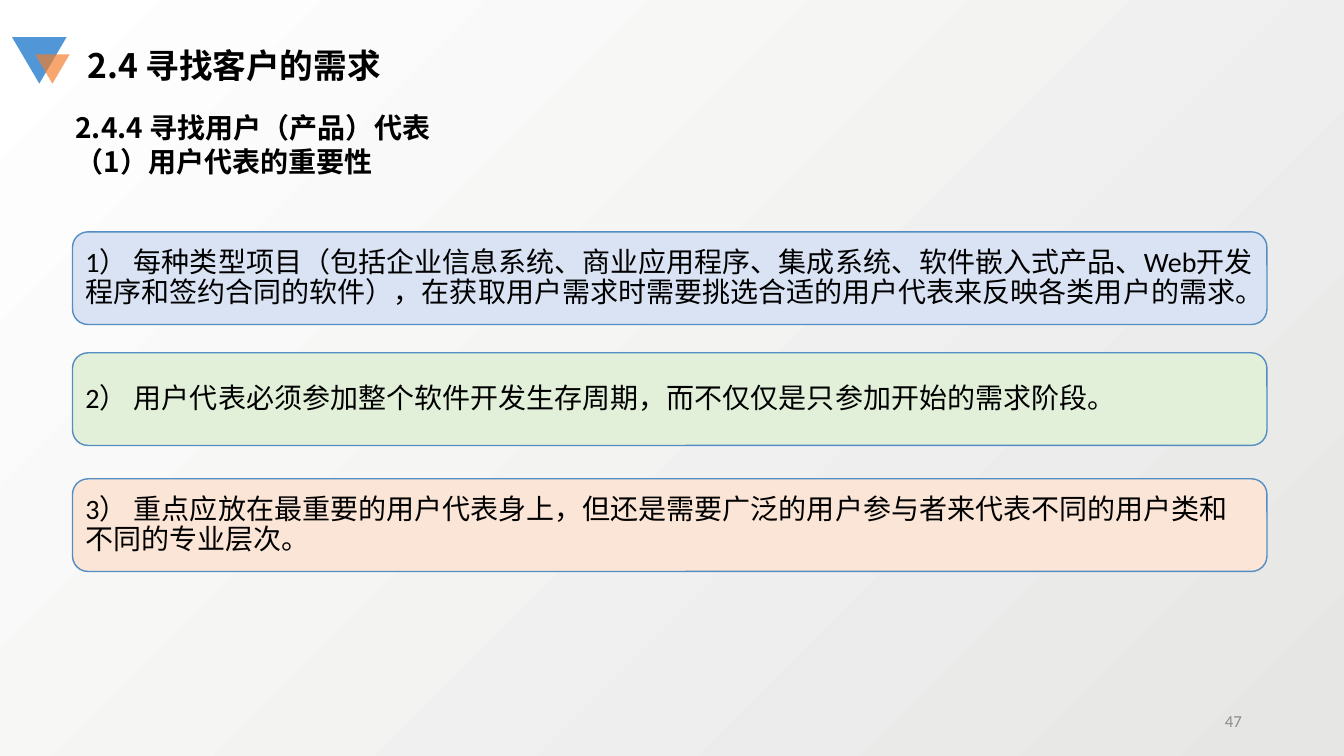
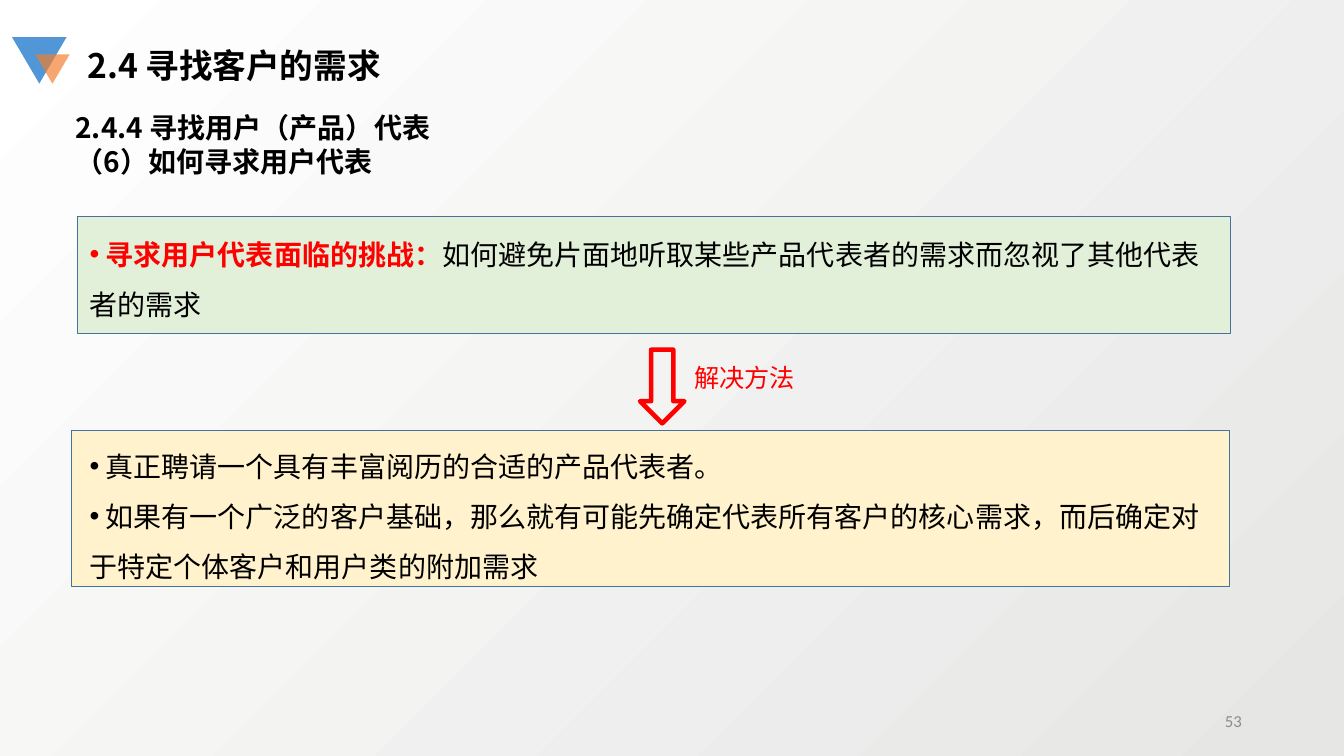
from lxml import etree
from pptx import Presentation
from pptx.dml.color import RGBColor
from pptx.enum import shapes, text
from pptx.oxml import ns
from pptx.util import Pt

BLACK = RGBColor(0, 0, 0)
RED = RGBColor(0xFF, 0, 0)
GREY = RGBColor(0x8C, 0x8C, 0x8C)
PALE = RGBColor(0xE6, 0xE6, 0xE5)
WHITE = RGBColor(0xFF, 0xFF, 0xFF)
BLUE = RGBColor(0x51, 0x97, 0xD7)
ORANGE = RGBColor(0xF3, 0x7D, 0x2A)
EDGE = RGBColor(0x53, 0x8D, 0xC1)
FRAME = RGBColor(0x43, 0x73, 0x9E)
SKY = RGBColor(0xDA, 0xE3, 0xF3)
GREEN = RGBColor(0xE2, 0xF0, 0xD9)
PEACH = RGBColor(0xFB, 0xE5, 0xD6)
CREAM = RGBColor(0xFF, 0xF2, 0xCC)

HAN = "Noto Sans CJK SC"
KIND = shapes.MSO_SHAPE
TITLE = "2.4 寻找客户的需求"
TOPIC = "2.4.4 寻找用户（产品）代表"
CARDS = [
    (165.6, SKY, "1） 每种类型项目（包括企业信息系统、商业应用程序、集成系统、软件嵌入式产品、Web开发程序和签约合同的软件），在获取用户需求时需要挑选合适的用户代表来反映各类用户的需求。"),
    (252, GREEN, "2） 用户代表必须参加整个软件开发生存周期，而不仅仅是只参加开始的需求阶段。"),
    (342, PEACH, "3） 重点应放在最重要的用户代表身上，但还是需要广泛的用户参与者来代表不同的用户类和不同的专业层次。"),
]
PANELS = [
    ((55.4, 154.8, 823.7, 83.5), GREEN, (56.9, 154.1, 812.2, 74.2), [
        [(" 寻求用户代表面临的挑战：", RED, True),
         ("如何避免片面地听取某些产品代表者的需求而忽视了其他代表者的需求", BLACK, False)]]),
    ((51.1, 307.4, 827.3, 111.6), CREAM, (56.9, 305.3, 817.2, 110.9), [
        [(" 真正聘请一个具有丰富阅历的合适的产品代表者。", BLACK, False)],
        [(" 如果有一个广泛的客户基础，那么就有可能先确定代表所有客户的核心需求，而后确定对于特定个体客户和用户类的附加需求", BLACK, False)]]),
]


def shape(slide, kind, box, fill=None, line=None, width=1):
    item = slide.shapes.add_shape(kind, *map(Pt, box))
    item.shadow.inherit = False
    if fill is None:
        item.fill.background()
    else:
        item.fill.solid()
        item.fill.fore_color.rgb = fill
    if line is None:
        item.line.fill.background()
    else:
        item.line.color.rgb = line
        item.line.width = Pt(width)
    return item


def bullet(para):
    props = para._p.get_or_add_pPr()
    props.set("marL", "0")
    props.set("indent", "0")
    etree.SubElement(props, ns.qn("a:buFont")).set("typeface", "Arial")
    etree.SubElement(props, ns.qn("a:buChar")).set("char", "•")


def write(frame, paras, size, face, space=None, dots=False, align=text.PP_ALIGN.LEFT):
    for num, runs in enumerate(paras):
        para = frame.add_paragraph() if num else frame.paragraphs[0]
        if dots:
            bullet(para)
        para.alignment = align
        if space:
            para.line_spacing = space
        for words, color, bold in runs:
            run = para.add_run()
            run.text = words
            font = run.font
            font.size, font.name, font.bold = Pt(size), face, bold
            font.color.rgb = color
            east = etree.SubElement(run._r.get_or_add_rPr(), ns.qn("a:ea"))
            east.set("typeface", HAN)


def label(slide, box, paras, size, face, wrap=True, grow=True, **style):
    frame = slide.shapes.add_textbox(*map(Pt, box)).text_frame
    frame.word_wrap = wrap
    if grow:
        frame.auto_size = text.MSO_AUTO_SIZE.SHAPE_TO_FIT_TEXT
    else:
        frame.vertical_anchor = text.MSO_ANCHOR.MIDDLE
    write(frame, paras, size, face, **style)


def start(prs, page, part):
    slide = prs.slides.add_slide(prs.slide_layouts[6])
    big = shape(slide, KIND.ISOSCELES_TRIANGLE, (8.6, 26.6, 38.9, 33.1), BLUE)
    small = shape(slide, KIND.ISOSCELES_TRIANGLE, (25.2, 38.9, 24.5, 20.9), ORANGE)
    big.rotation = small.rotation = 180
    tint = small.fill._xPr.find(".//" + ns.qn("a:srgbClr"))
    etree.SubElement(tint, ns.qn("a:alpha")).set("val", "68000")
    label(slide, (678.2, 500.4, 216, 28.8), [[(page, GREY, False)]], 12, "Calibri",
          grow=False, align=text.PP_ALIGN.RIGHT)
    label(slide, (55.4, 28.8, 416, 36), [[(TITLE, BLACK, True)]], 24, HAN)
    label(slide, (46.8, 75.6, 661.7, 55.4),
          [[(words, BLACK, True)] for words in (TOPIC, part)], 20, HAN)
    return slide


def value(prs):
    slide = start(prs, "47", "（1）用户代表的重要性")
    for top, fill, words in CARDS:
        card = shape(slide, KIND.ROUNDED_RECTANGLE, (51.8, top, 853.2, 66.2), fill, EDGE)
        frame = card.text_frame
        frame.word_wrap = True
        frame.vertical_anchor = text.MSO_ANCHOR.MIDDLE
        frame.margin_left = frame.margin_right = Pt(6)
        frame.margin_top = frame.margin_bottom = Pt(6)
        write(frame, [[(words, BLACK, False)]], 20, "Calibri", space=0.9)


def search(prs):
    slide = start(prs, "53", "（6）如何寻求用户代表")
    for box, fill, area, paras in PANELS:
        shape(slide, KIND.RECTANGLE, box, fill, FRAME)
        label(slide, area, paras, 20, "Arial", space=1.5, dots=True)
    shape(slide, KIND.DOWN_ARROW, (457.2, 249.8, 31.7, 52.6), line=RED, width=3.25)
    label(slide, (488.9, 255.6, 87.1, 28.8), [[("解决方法", RED, False)]], 18, "Calibri",
          wrap=False)


def main():
    prs = Presentation()
    prs.slide_width, prs.slide_height = Pt(960), Pt(540)
    fill = prs.slide_master.background.fill
    fill.gradient()
    fill.gradient_angle = 135
    for stop, color in zip(fill.gradient_stops, (PALE, WHITE)):
        stop.color.rgb = color
    value(prs)
    search(prs)
    prs.save("out.pptx")


if __name__ == "__main__":
    main()
